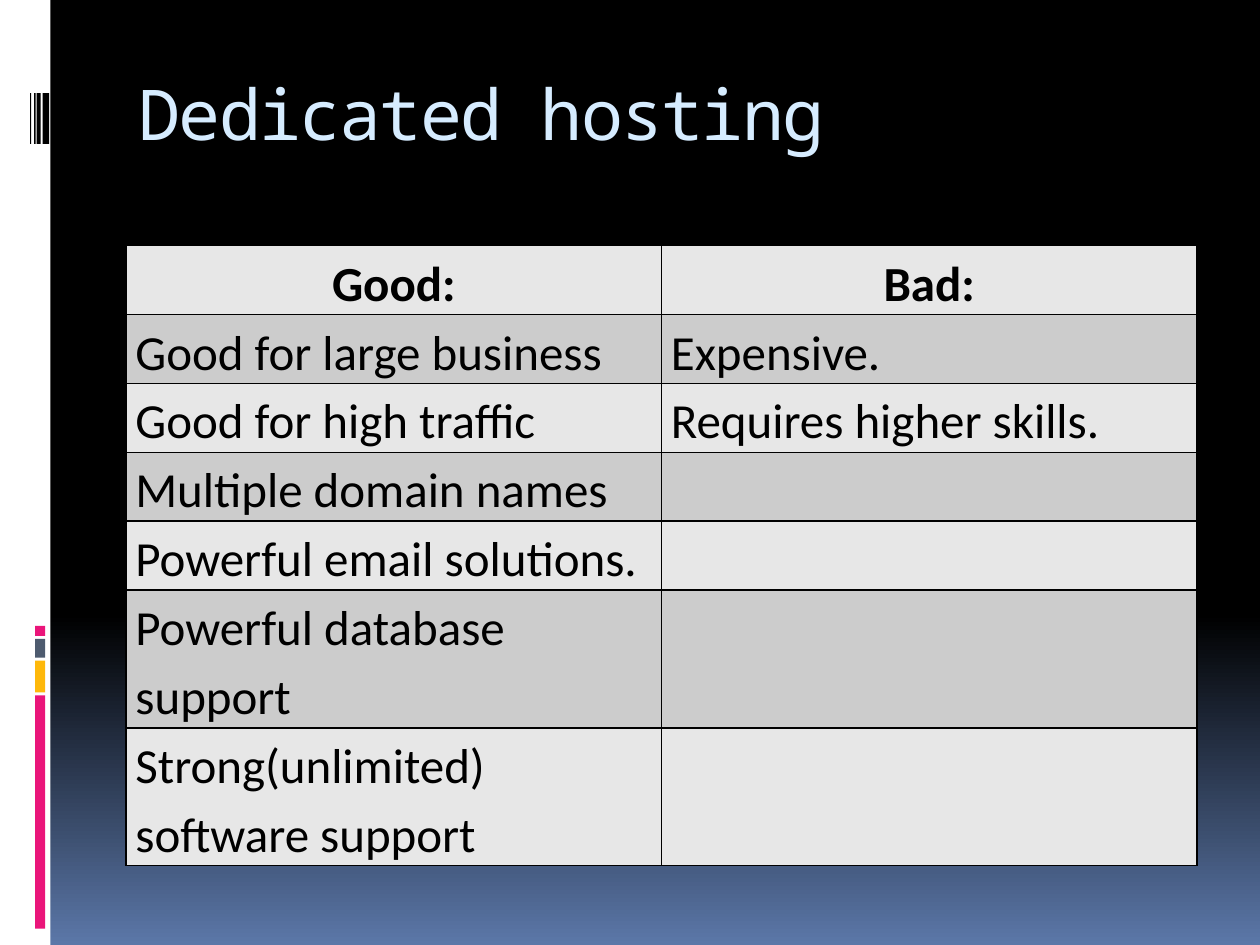
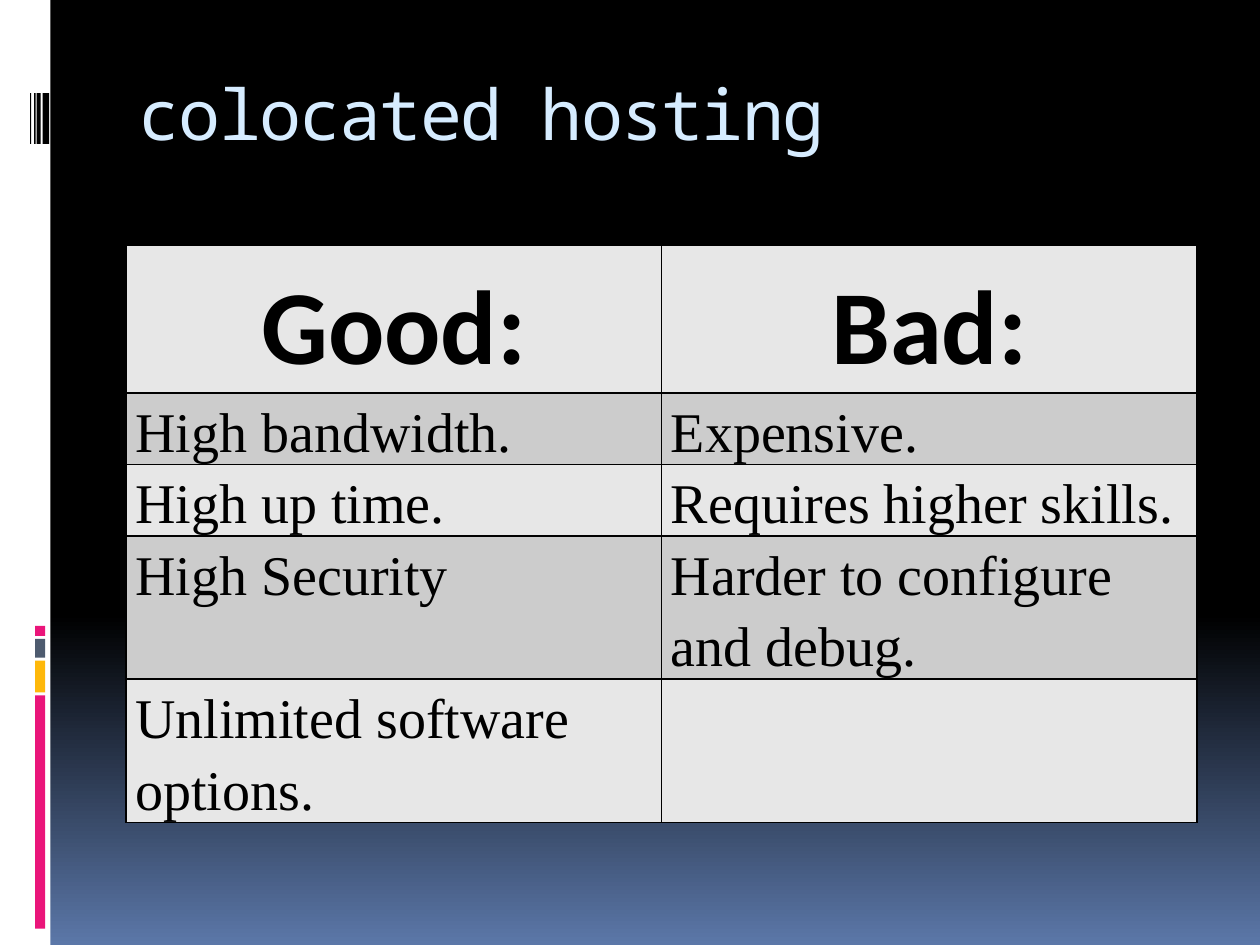
from dataclasses import dataclass

from lxml import etree
from pptx import Presentation
from pptx.dml.color import RGBColor
from pptx.enum.shapes import MSO_SHAPE
from pptx.enum.text import MSO_ANCHOR, PP_ALIGN
from pptx.oxml.ns import qn
from pptx.util import Cm, Pt

RECTANGLE = MSO_SHAPE.RECTANGLE
TOP = MSO_ANCHOR.TOP
LEFT, CENTER = PP_ALIGN.LEFT, PP_ALIGN.CENTER
TITLE_ONLY = 5

# Content
PAGES = [
    {
        "title": "Dedicated hosting",
        "header_size": 28, "body_size": 28, "body_font": "Calibri",
        "rows": [
            ("Good:", "Bad:"),
            ("Good for large business", "Expensive."),
            ("Good for high traffic", "Requires higher skills."),
            ("Multiple domain names", ""),
            ("Powerful email solutions.", ""),
            ("Powerful database support", ""),
            ("Strong(unlimited) software support", ""),
        ],
    },
    {
        "title": "colocated hosting",
        "header_size": 60, "body_size": 32, "body_font": "Times New Roman",
        "rows": [
            ("Good:", "Bad:"),
            ("High bandwidth.", "Expensive."),
            ("High up time.", "Requires higher skills."),
            ("High Security", "Harder to configure and debug."),
            ("Unlimited software options.", ""),
        ],
    },
]


# Shared look
@dataclass(frozen=True)
class Theme:
    black: str = "000000"
    white: str = "FFFFFF"
    glow: str = "5B77A8"
    title: str = "D6ECFF"
    pink: str = "EA157A"
    yellow: str = "FEB80A"
    slate: str = "4E5B6F"
    row_fills: tuple = ("E7E7E7", "CCCCCC")
    title_font: str = "Noto Sans Mono"
    header_font: str = "Calibri"
    title_size: int = 40
    line_spacing: float = 1.15
    space_after: int = 10


THEME = Theme()
PAGE_WIDTH, PAGE_HEIGHT = 25.4, 19.05
CONTENT_LEFT, CONTENT_WIDTH = 2.54, 21.59
TITLE_TOP, TITLE_HEIGHT = 1.42, 2.54
TABLE_TOP, ROW_HEIGHT = 4.95, 1.04
CELL_INSET = 0.19

# Side band: coloured blocks stacked downwards, barcode lines side by side
BAND_WIDTH = 1.02
BLOCK_LEFT, BLOCK_TOP, BLOCK_WIDTH, BLOCK_GAP = 0.71, 12.62, 0.2, 0.06
BLOCKS = [(THEME.pink, 0.2), (THEME.slate, 0.38), (THEME.yellow, 0.64), (THEME.pink, 4.7)]
BARCODE_TOP, BARCODE_HEIGHT = 1.88, 1.02
BARCODE = [(0.61, 0.02), (0.69, 0.03), (0.74, 0.08), (0.86, 0.13)]


def color(code):
    return RGBColor.from_string(code)


def add_run(para, text, font, size, code, bold=False):
    span = para.add_run()
    span.text = text
    span.font.name = font
    span.font.size = Pt(size)
    span.font.color.rgb = color(code)
    span.font.bold = bold
    return span


def add_block(page, left, top, width, height, code):
    block = page.shapes.add_shape(RECTANGLE, Cm(left), Cm(top), Cm(width), Cm(height))
    block.shadow.inherit = False
    block.fill.solid()
    block.fill.fore_color.rgb = color(code)
    block.line.fill.background()


def paint_background(page):
    fill = page.background.fill
    fill.gradient()
    fill.gradient_angle = 270
    stops = [(0.65, THEME.black), (1, THEME.glow)]
    for stop, (position, code) in zip(fill.gradient_stops, stops):
        stop.position = position
        stop.color.rgb = color(code)


def add_side_band(page):
    add_block(page, 0, 0, BAND_WIDTH, PAGE_HEIGHT, THEME.white)
    top = BLOCK_TOP
    for code, height in BLOCKS:
        add_block(page, BLOCK_LEFT, top, BLOCK_WIDTH, height, code)
        top += height + BLOCK_GAP
    for left, width in BARCODE:
        add_block(page, left, BARCODE_TOP, width, BARCODE_HEIGHT, THEME.black)


def set_title(page, text):
    title = page.shapes.title
    title.left, title.top = Cm(CONTENT_LEFT), Cm(TITLE_TOP)
    title.width, title.height = Cm(CONTENT_WIDTH), Cm(TITLE_HEIGHT)
    frame = title.text_frame
    frame.vertical_anchor = TOP
    frame.margin_top = 0
    para = frame.paragraphs[0]
    para.alignment = LEFT
    span = add_run(para, text, THEME.title_font, THEME.title_size, THEME.title)
    span.font._element.set("spc", "-100")


def add_borders(cell):
    properties = cell._tc.get_or_add_tcPr()
    for side in ("lnL", "lnR", "lnT", "lnB"):
        line = etree.SubElement(properties, qn(f"a:{side}"), w=str(Pt(1)))
        solid = etree.SubElement(line, qn("a:solidFill"))
        etree.SubElement(solid, qn("a:srgbClr"), val=THEME.black)


def add_comparison(page, content):
    rows = content["rows"]
    table = page.shapes.add_table(
        len(rows), len(rows[0]), Cm(CONTENT_LEFT), Cm(TABLE_TOP),
        Cm(CONTENT_WIDTH), Cm(ROW_HEIGHT * len(rows))).table
    table.first_row = table.horz_banding = False
    for row_number, row in enumerate(rows):
        is_header = row_number == 0
        font = THEME.header_font if is_header else content["body_font"]
        size = content["header_size" if is_header else "body_size"]
        for column_number, text in enumerate(row):
            cell = table.cell(row_number, column_number)
            add_borders(cell)
            cell.fill.solid()
            cell.fill.fore_color.rgb = color(THEME.row_fills[row_number % 2])
            cell.margin_left = cell.margin_right = Cm(CELL_INSET)
            cell.margin_top = cell.margin_bottom = 0
            if not text:
                continue
            para = cell.text_frame.paragraphs[0]
            para.alignment = CENTER if is_header else LEFT
            para.line_spacing = THEME.line_spacing
            para.space_after = Pt(0 if is_header else THEME.space_after)
            add_run(para, text, font, size, THEME.black, is_header)


def main():
    deck = Presentation()
    deck.slide_width, deck.slide_height = Cm(PAGE_WIDTH), Cm(PAGE_HEIGHT)
    for content in PAGES:
        page = deck.slides.add_slide(deck.slide_layouts[TITLE_ONLY])
        paint_background(page)
        add_side_band(page)
        set_title(page, content["title"])
        add_comparison(page, content)
    deck.save("out.pptx")


if __name__ == "__main__":
    main()
